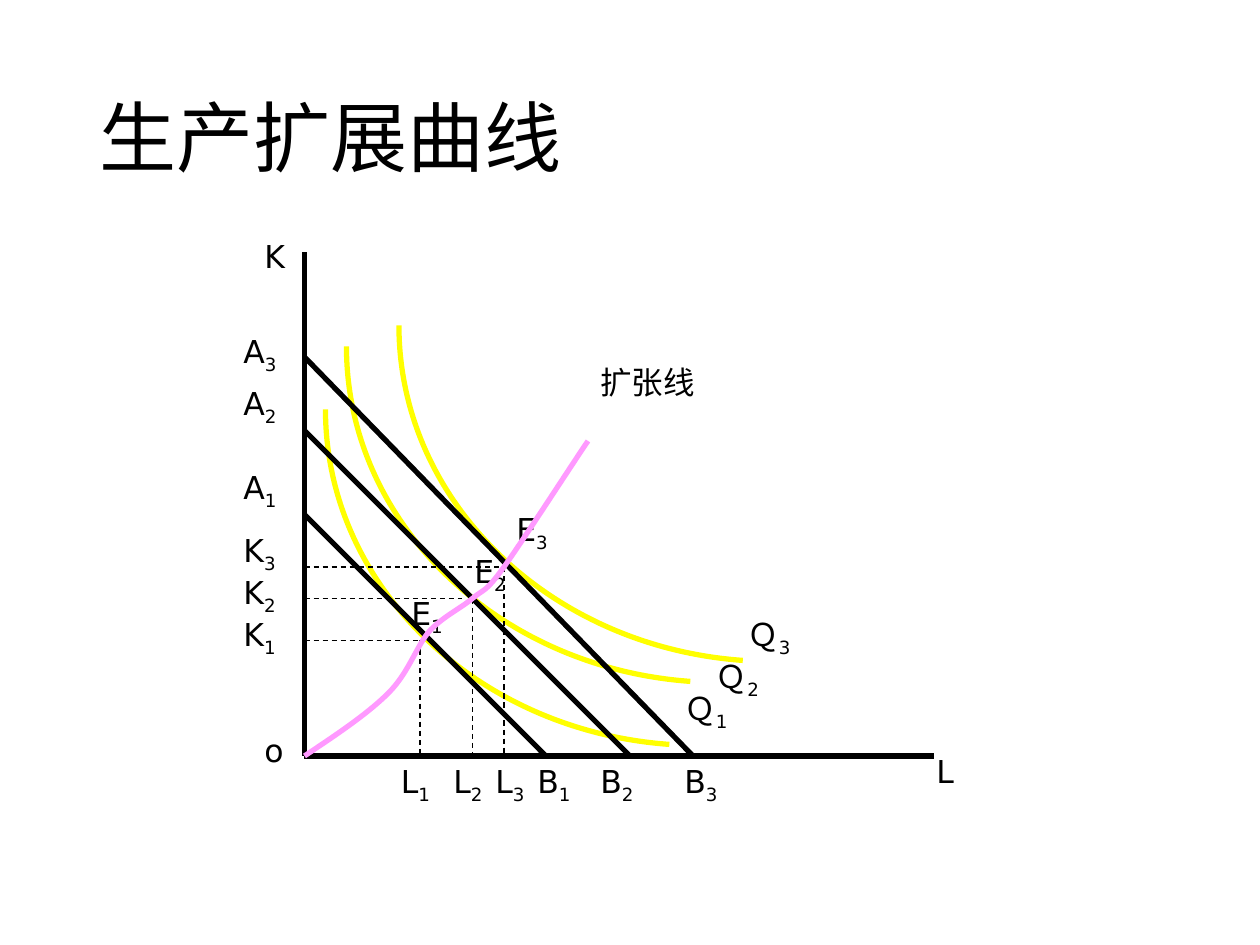
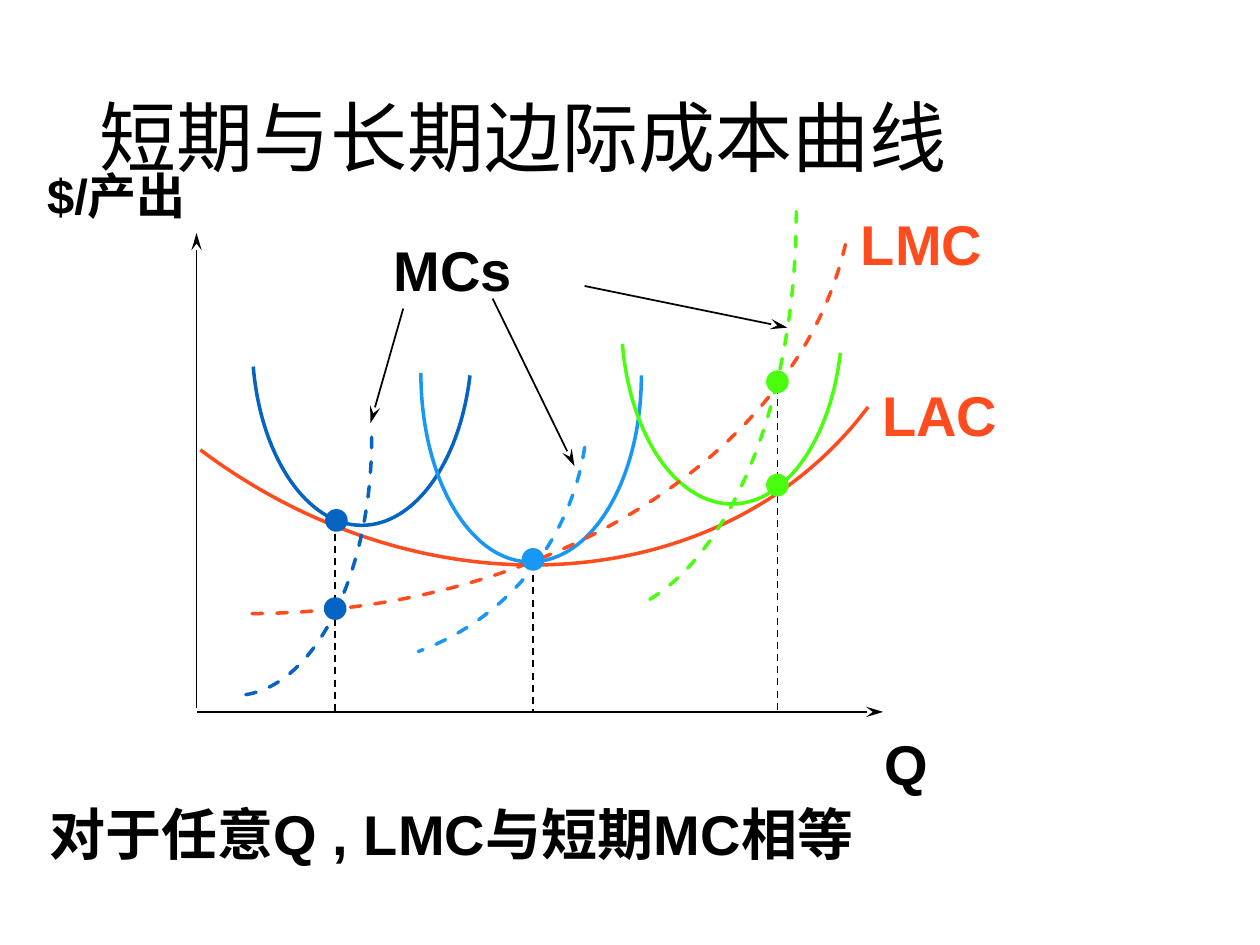
"""Builds two slides on production expansion and marginal cost curves."""
import dataclasses

import lxml.etree
import pptx
import pptx.dml.color
import pptx.enum.dml
import pptx.enum.shapes
import pptx.enum.text
import pptx.oxml.ns
import pptx.slide
import pptx.util

BLACK, YELLOW, PINK = "000000", "FFFF00", "FF99FF"
ORANGE, NAVY, SKY, GREEN = "FF4C1F", "0563C1", "1997F4", "4AFF0E"
TITLE_ONLY = 5
TITLE_BOX = (0.069, 0.053, 0.862, 0.193)
TITLE_FONT = {"name": "Calibri", "size": pptx.util.Pt(44), "bold": False}
LABEL_FONT = {"name": "DejaVu Sans", "size": pptx.util.Pt(18)}
BIG_FONT = {"name": "Arial", "size": pptx.util.Pt(32), "bold": True}
AXIS_FONT = {**BIG_FONT, "size": pptx.util.Pt(28)}


@dataclasses.dataclass
class Canvas:
    """A slide with a square drawing grid."""
    slide: pptx.slide.Slide
    cell: float

    def lengths(self, *cells):
        """Turn grid cells into slide lengths."""
        return [round(count * self.cell) for count in cells]


def colour(hex_text):
    """Return the colour for a hex string."""
    return pptx.dml.color.RGBColor.from_string(hex_text)


def set_font(font, values, hex_text=BLACK):
    """Apply format values and a colour to a font."""
    for name, value in values.items():
        setattr(font, name, value)
    font.color.rgb = colour(hex_text)


def set_line(line, hex_text, width, dashed=False):
    """Set the colour, width and dash of a line."""
    line.color.rgb = colour(hex_text)
    line.width = pptx.util.Pt(width)
    if dashed:
        line.dash_style = pptx.enum.dml.MSO_LINE.DASH


def add_titled_slide(presentation, title, columns):
    """Add a slide with its title and return its canvas."""
    slide = presentation.slides.add_slide(presentation.slide_layouts[TITLE_ONLY])
    width, height = presentation.slide_width, presentation.slide_height
    shape = slide.shapes.title
    for name, share, full in zip(("left", "top", "width", "height"), TITLE_BOX,
                                 (width, height, width, height)):
        setattr(shape, name, round(share * full))
    frame = shape.text_frame
    frame.text = title
    frame.vertical_anchor = pptx.enum.text.MSO_ANCHOR.MIDDLE
    paragraph = frame.paragraphs[0]
    paragraph.alignment = pptx.enum.text.PP_ALIGN.LEFT
    paragraph.line_spacing = 0.9
    set_font(paragraph.runs[0].font, TITLE_FONT)
    return Canvas(slide, width / columns)


def add_label(canvas, text, box, font, hex_text=BLACK, subscript="", wrap=True):
    """Add a text label with an optional subscript."""
    frame = canvas.slide.shapes.add_textbox(*canvas.lengths(*box)).text_frame
    frame.word_wrap = wrap
    frame.auto_size = pptx.enum.text.MSO_AUTO_SIZE.SHAPE_TO_FIT_TEXT
    for part in filter(None, (text, subscript)):
        run = frame.paragraphs[0].add_run()
        run.text = part
        set_font(run.font, font, hex_text)
        if part is subscript:
            run._r.get_or_add_rPr().set("baseline", "-25000")


def add_straight(canvas, start, end, width, dashed=False, arrow=False):
    """Add a black straight line, with an arrowhead at its end if asked."""
    connector = canvas.slide.shapes.add_connector(
        pptx.enum.shapes.MSO_CONNECTOR.STRAIGHT, *canvas.lengths(*start, *end))
    set_line(connector.line, BLACK, width, dashed)
    if arrow:
        lxml.etree.SubElement(connector.line._get_or_add_ln(), pptx.oxml.ns.qn("a:tailEnd"),
                              type="stealth", w="med", len="lg")
    lxml.etree.SubElement(connector._element.spPr, pptx.oxml.ns.qn("a:effectLst"))


def add_curve(canvas, knots, hex_text, width, dashed=False):
    """Add an open curve whose knots are a start and triples of cubic control points."""
    points = [canvas.lengths(*knot) for knot in knots]
    builder = canvas.slide.shapes.build_freeform(*points[0])
    builder.add_line_segments(points[1:], close=False)
    shape = builder.convert_to_shape()
    segments = list(shape._element.iter(pptx.oxml.ns.qn("a:lnTo")))
    outline = segments[0].getparent()
    for first in range(0, len(segments), 3):
        cubic = lxml.etree.SubElement(outline, pptx.oxml.ns.qn("a:cubicBezTo"))
        for segment in segments[first:first + 3]:
            cubic.append(segment[0])
            outline.remove(segment)
    shape.fill.background()
    shape.shadow.inherit = False
    set_line(shape.line, hex_text, width, dashed)
    if dashed:
        shape.line._get_or_add_ln().set("cap", "rnd")


def add_dot(canvas, left, top, hex_text, size=1.8):
    """Add a filled dot."""
    dot = canvas.slide.shapes.add_shape(
        pptx.enum.shapes.MSO_SHAPE.OVAL, *canvas.lengths(left, top, size, size))
    dot.shadow.inherit = False
    dot.fill.solid()
    dot.fill.fore_color.rgb = colour(hex_text)
    dot.line.fill.background()


def build_expansion(presentation):
    """Build the expansion path slide."""
    canvas = add_titled_slide(presentation, "生产扩展曲线", 120)
    origin_x, origin_y = 29, 72
    add_straight(canvas, (origin_x, 24), (origin_x, origin_y), 3)
    add_straight(canvas, (origin_x, origin_y), (89, origin_y), 3)
    isoquant = ((32.75, 31.9), (14.4, 30.6), (0, 16.8), (0, 0))
    for left, top in ((33, 33), (31, 39), (38, 31)):
        add_curve(canvas, [(left + x, top + y) for x, y in isoquant], YELLOW, 3)
    for capital, labour in ((49, 52), (41, 60), (34, 66)):
        add_straight(canvas, (origin_x, capital), (labour, origin_y), 3)
    for x, y, reach in ((40, 61, 40), (45, 57, 44), (48, 54, 48)):
        add_straight(canvas, (origin_x, y), (reach, y), 0.75, dashed=True)
        add_straight(canvas, (x, y), (x, origin_y), 0.75, dashed=True)
    numbered = {
        "A": ((22, 44), (22, 36), (22, 31)),
        "K": ((22, 58), (22, 54), (22, 50)),
        "L": ((37, 72), (42, 72), (46, 72)),
        "B": ((50, 72), (56, 72), (64, 72)),
        "E": ((38, 56), (44, 52), (48, 48)),
        "Ｑ": ((64, 65), (67, 62), (70, 58)),
    }
    for letter, places in numbered.items():
        for number, place in enumerate(places, 1):
            add_label(canvas, letter, (*place, 11, 6), LABEL_FONT, subscript=str(number))
    for text, left, top, width in (("K", 24, 22, 11), ("o", 24, 69, 11),
                                   ("L", 88, 71, 11), ("扩张线", 56, 34, 18)):
        add_label(canvas, text, (left, top, width, 6), LABEL_FONT)
    expansion_path = (
        (29, 72), (32, 70), (35, 68), (37, 66), (39, 64), (39.7, 61.4), (41, 60),
        (42.4, 58.6), (43.8, 58), (45, 57), (46.2, 56), (46.2, 56.5), (48, 54),
        (49.8, 51.5), (54.5, 44.2), (56, 42))
    add_curve(canvas, expansion_path, PINK, 3)


def build_marginal_cost(presentation):
    """Build the short and long run marginal cost slide."""
    canvas = add_titled_slide(presentation, "短期与长期边际成本曲线", 100)
    base = 56.5
    add_straight(canvas, (15.6, base - 0.3), (15.6, 18.5), 1, arrow=True)
    add_straight(canvas, (15.6, base), (70.1, base), 1, arrow=True)
    average_costs = (
        (ORANGE, ((68.9, 32.3), (57.4, 47.6), (33.7, 49.1), (15.9, 35.7))),
        (NAVY, ((37.3, 29.8), (36.5, 36.7), (32.9, 41.7), (28.7, 41.7),
                (24.4, 41.7), (20.7, 36.3), (20.1, 29.1))),
        (SKY, ((50.9, 29.8), (50.9, 38), (47, 44.6), (42.1, 44.6),
               (37.3, 44.6), (33.4, 38), (33.4, 29.6))),
        (GREEN, ((66.7, 28), (65.9, 35), (62.3, 40), (58.1, 40),
                 (53.7, 40), (50, 34.6), (49.4, 27.3))),
    )
    marginal_costs = (
        (ORANGE, ((67.1, 19.4), (63.2, 36.3), (43.1, 48.7), (19.7, 48.7))),
        (NAVY, ((29.5, 34.7), (29.5, 46), (24.6, 55.2), (18.6, 55.2))),
        (SKY, ((46.4, 35.5), (45.3, 42.8), (40.3, 49.1), (33.2, 51.7))),
        (GREEN, ((63.2, 16.8), (63.2, 31.5), (58.1, 44.3), (50.8, 48))),
    )
    for hex_text, knots in average_costs:
        add_curve(canvas, knots, hex_text, 2)
    for x, top in ((26.6, 41.4), (42.3, 44.7), (61.7, 30.7)):
        add_straight(canvas, (x, top), (x, base), 1, dashed=True)
    for hex_text, knots in marginal_costs:
        add_curve(canvas, knots, hex_text, 2, dashed=True)
    for left, top, hex_text in ((25.8, 40.4, NAVY), (25.7, 47.4, NAVY), (41.4, 43.5, SKY),
                                (60.8, 37.6, GREEN), (60.8, 29.4, GREEN)):
        add_dot(canvas, left, top, hex_text)
    for text, box, hex_text in (("LAC", (69.05, 29.7, 11.3, 6.4), ORANGE),
                                ("LMC", (67.35, 16.15, 11.7, 6.4), ORANGE),
                                ("Q", (69.2, 57.4, 5.5, 6.4), BLACK),
                                ("MCs", (30.25, 18.2, 11.5, 6.4), BLACK)):
        add_label(canvas, text, box, BIG_FONT, hex_text, wrap=False)
    add_label(canvas, "$/产出", (2.75, 12.65, 13.2, 5.7), AXIS_FONT)
    for start, end in (((32, 24.5), (29.4, 33.6)), ((39.1, 23.7), (45.6, 37)),
                       ((46.4, 22.7), (62.5, 26))):
        add_straight(canvas, start, end, 1, arrow=True)
    add_label(canvas, "对于任意Q , LMC与短期MC相等", (2.95, 62.95, 66.5, 6.4), BIG_FONT)


def main():
    """Build and save the presentation."""
    presentation = pptx.Presentation()
    presentation.slide_width = pptx.util.Inches(10)
    presentation.slide_height = pptx.util.Inches(7.5)
    build_expansion(presentation)
    build_marginal_cost(presentation)
    presentation.save("out.pptx")


if __name__ == "__main__":
    main()
